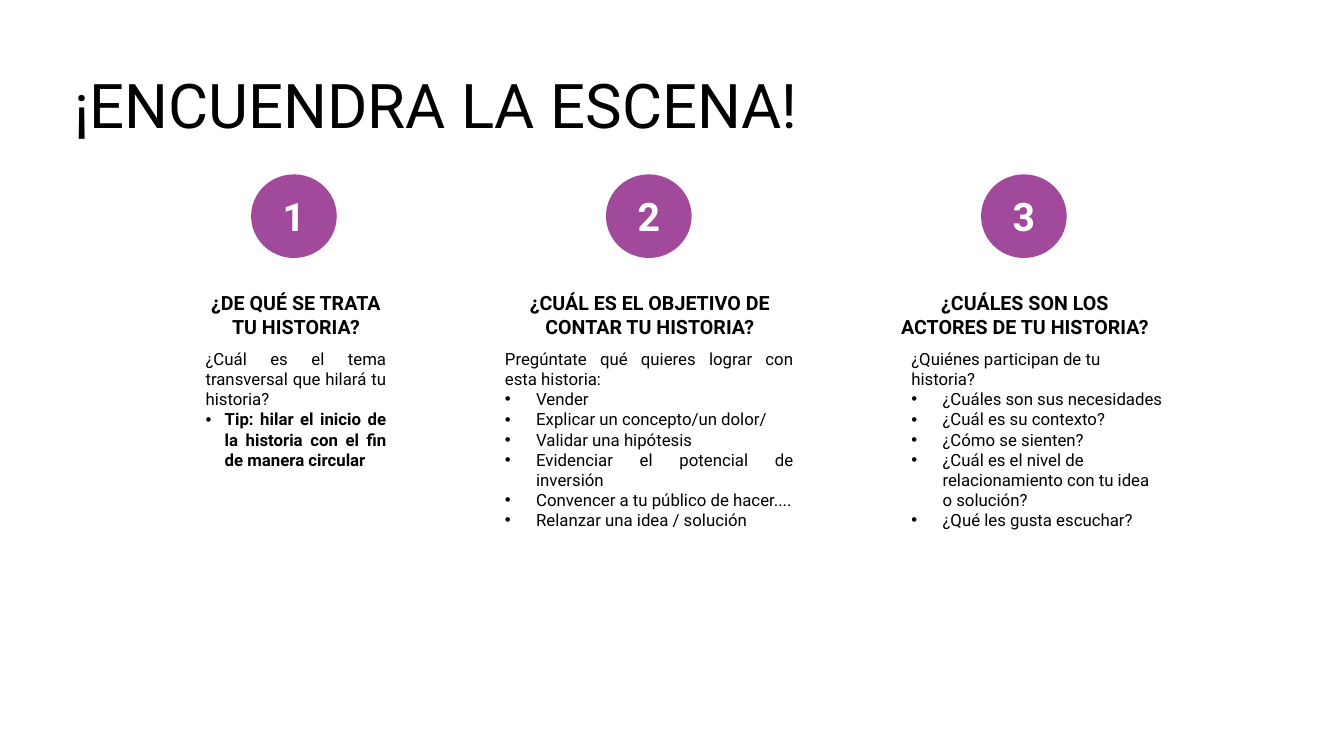
from lxml import etree
from pptx import Presentation
from pptx import util as u
from pptx.dml.color import RGBColor
from pptx.enum import shapes, text
from pptx.oxml.ns import qn

HUES = {"ink": "000000", "disc": "A1499A", "digit": "FFFFFF"}
LEFT, MID, JUST = (text.PP_ALIGN.LEFT, text.PP_ALIGN.CENTER,
                   text.PP_ALIGN.JUSTIFY)

# Each step: disc left, heading (left, width, text),
# body (left, width, height, align, indent, bold bullets), lead, bullets
STEPS = [
    (2.49, (1.94, 1.99, "¿DE QUÉ SE TRATA TU HISTORIA?"),
     (1.94, 1.99, 1.31, JUST, 0.19, True),
     "¿Cuál es el tema transversal que hilará tu historia?",
     ["Tip: hilar el inicio de la historia con el fin de manera circular"]),
    (6.01, (5.07, 2.75, "¿CUÁL ES EL OBJETIVO DE CONTAR TU HISTORIA?"),
     (4.91, 3.06, 1.72, JUST, 0.31, False),
     "Pregúntate qué quieres lograr con esta historia:",
     ["Vender", "Explicar un concepto/un dolor/", "Validar una hipótesis",
      "Evidenciar el potencial de inversión",
      "Convencer a tu público de hacer....",
      "Relanzar una idea / solución"]),
    (9.73, (8.82, 2.69, "¿CUÁLES SON LOS ACTORES DE TU HISTORIA?"),
     (8.94, 2.69, 1.92, LEFT, 0.31, False),
     "¿Quiénes participan de tu historia?",
     ["¿Cuáles son sus necesidades", "¿Cuál es su contexto?",
      "¿Cómo se sienten?",
      "¿Cuál es el nivel de relacionamiento con tu idea o solución?",
      "¿Qué les gusta escuchar?"]),
]


class Deck:
    """Holds the style and the current slide."""

    font = "Roboto"

    def __init__(self):
        self.prs = Presentation()
        self.prs.slide_width = u.Inches(13.33)
        self.prs.slide_height = u.Inches(7.5)
        self.slide = self.prs.slides.add_slide(self.prs.slide_layouts[5])

    def add_run(self, para, words, size, align, hue="ink", bold=False):
        para.alignment = align
        run = para.add_run()
        run.text = words
        font = run.font
        font.name, font.size, font.bold = self.font, u.Pt(size), bold
        font.color.rgb = RGBColor.from_string(HUES[hue])

    def title(self, words, *box):
        head = self.slide.shapes.title
        head.left, head.top, head.width, head.height = map(u.Inches, box)
        frame = head.text_frame
        frame.auto_size = text.MSO_AUTO_SIZE.NONE
        frame.vertical_anchor = text.MSO_ANCHOR.MIDDLE
        para = frame.paragraphs[0]
        para.line_spacing = 0.9
        self.add_run(para, words, 44, LEFT)

    def disc(self, digit, left):
        oval = self.slide.shapes.add_shape(
            shapes.MSO_SHAPE.OVAL, *map(u.Inches, (left, 1.73, 0.85, 0.83)))
        oval.shadow.inherit = False
        oval.fill.solid()
        oval.fill.fore_color.rgb = RGBColor.from_string(HUES["disc"])
        oval.line.fill.background()
        frame = oval.text_frame
        frame.vertical_anchor = text.MSO_ANCHOR.MIDDLE
        self.add_run(frame.paragraphs[0], digit, 28, MID, "digit", True)

    def box(self, *area):
        frame = self.slide.shapes.add_textbox(*map(u.Inches, area)).text_frame
        frame.word_wrap = True
        frame.auto_size = text.MSO_AUTO_SIZE.SHAPE_TO_FIT_TEXT
        return frame

    def heading(self, left, width, words):
        frame = self.box(left, 2.84, width, 0.57)
        self.add_run(frame.paragraphs[0], words, 14, MID, bold=True)

    def bullet(self, para, indent):
        props = para._p.get_or_add_pPr()
        props.set("marL", str(u.Inches(indent)))
        props.set("indent", str(-u.Inches(indent)))
        etree.SubElement(props, qn("a:buFont")).set("typeface", "Arial")
        etree.SubElement(props, qn("a:buChar")).set("char", "•")

    def body(self, left, width, height, align, indent, bold, lead, items):
        frame = self.box(left, 3.41, width, height)
        self.add_run(frame.paragraphs[0], lead, 12, align)
        for item in items:
            para = frame.add_paragraph()
            self.bullet(para, indent)
            self.add_run(para, item, 12, align, bold=bold)


def main():
    deck = Deck()
    deck.title("¡ENCUENDRA LA ESCENA!", 0.64, 0.35, 8.47, 1.45)
    for num, (left, head, body, lead, items) in enumerate(STEPS, 1):
        deck.disc(str(num), left)
        deck.heading(*head)
        deck.body(*body, lead, items)
    deck.prs.save("out.pptx")


if __name__ == "__main__":
    main()
